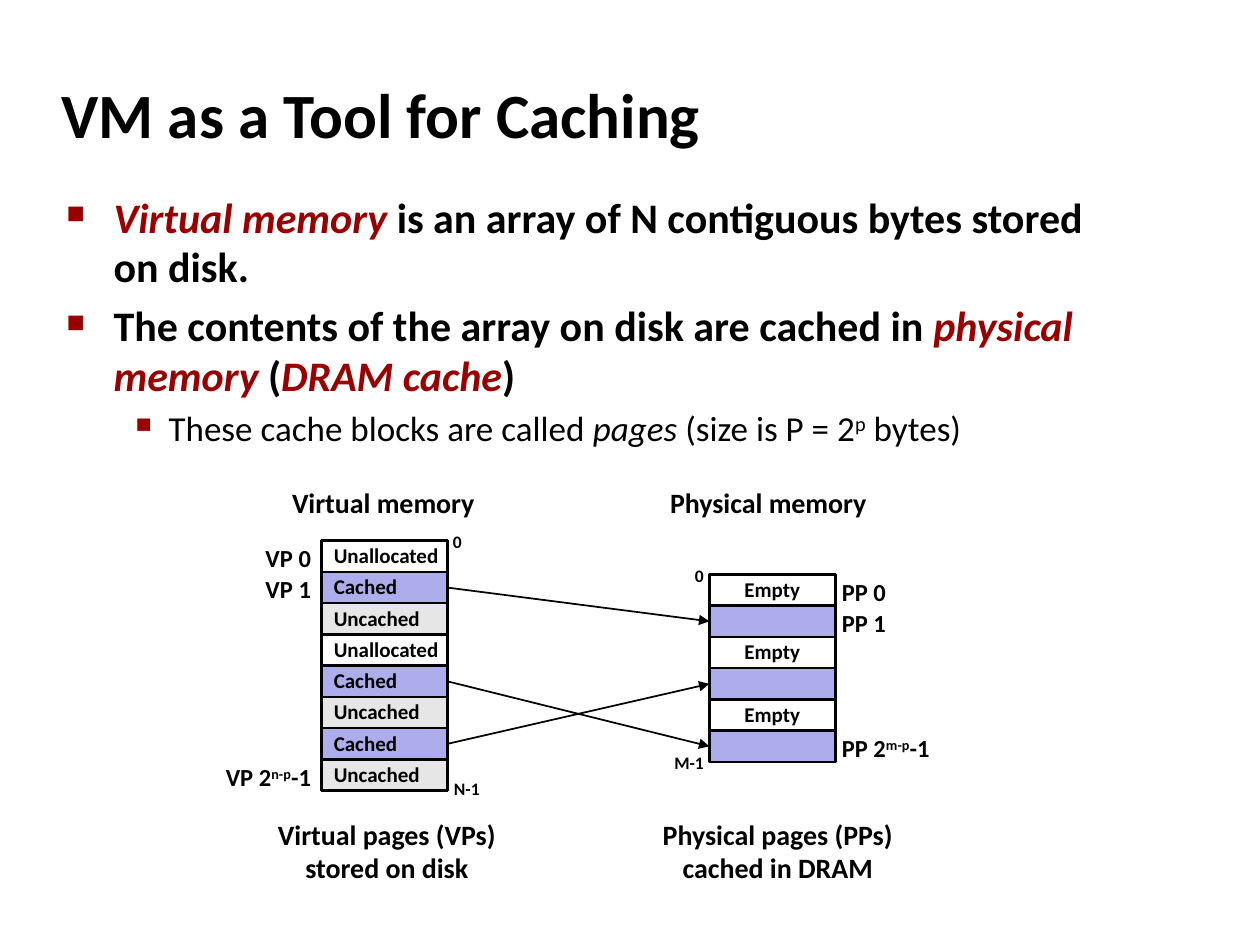
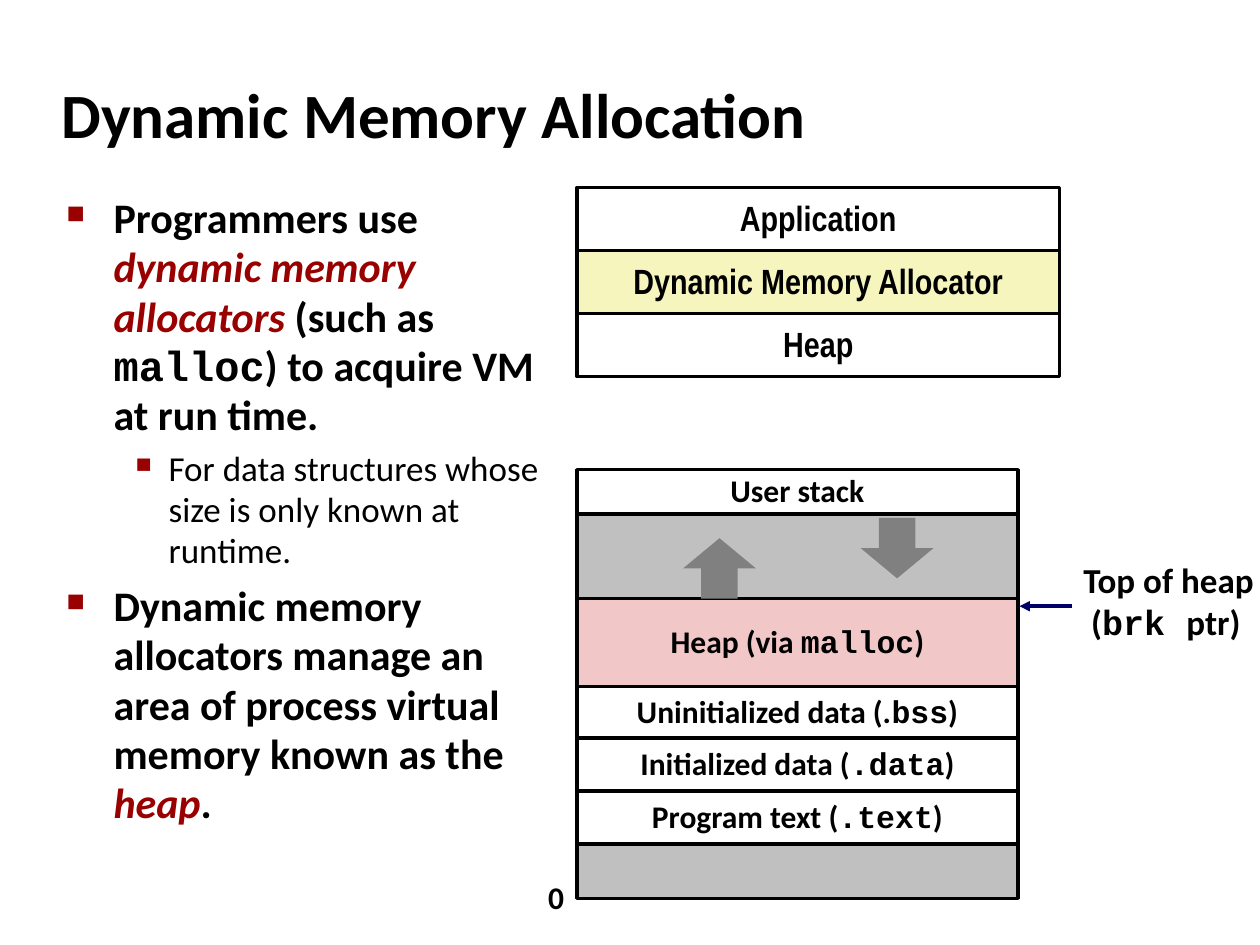
from dataclasses import dataclass
from itertools import accumulate

from lxml.etree import SubElement
from pptx import Presentation
from pptx.dml.color import RGBColor
from pptx.enum.shapes import MSO_CONNECTOR as Connector, MSO_SHAPE as Preset
from pptx.enum.text import MSO_ANCHOR as Anchor, PP_ALIGN as Align
from pptx.oxml.ns import qn
from pptx.util import Cm, Pt

BLACK = RGBColor(0x00, 0x00, 0x00)
WHITE = RGBColor(0xFF, 0xFF, 0xFF)
CRIMSON = RGBColor(0x99, 0x00, 0x00)
LAVENDER = RGBColor(0xAD, 0xAD, 0xEB)
PALE_GRAY = RGBColor(0xE6, 0xE6, 0xE6)
SILVER = RGBColor(0xC0, 0xC0, 0xC0)
MID_GRAY = RGBColor(0x80, 0x80, 0x80)
PINK = RGBColor(0xF1, 0xC7, 0xC7)
CREAM = RGBColor(0xF6, 0xF5, 0xBD)
NAVY = RGBColor(0x00, 0x00, 0x66)

SANS, NARROW, MONO = "Calibri", "Arial Narrow", "Courier New"
LINE_SPACING = 0.98


@dataclass(frozen=True)
class Run:
    text: str
    color: RGBColor = BLACK
    font: str = SANS
    italic: bool = False
    raised: bool = False


Line = tuple[Run, ...]


@dataclass(frozen=True)
class BulletLevel:
    char: str
    size: int
    bold: bool
    indent: float
    hang: float
    scale: int
    before: float


@dataclass(frozen=True)
class Label:
    """Text centred on a point, lengths in cm."""
    x: float
    y: float
    width: float
    lines: tuple[Line, ...]
    size: int
    align: Align = Align.CENTER


@dataclass(frozen=True)
class Block:
    """One filled row of a memory diagram."""
    fill: RGBColor
    text: Line = ()


@dataclass(frozen=True)
class Stack:
    """Rows drawn from the top down, lengths in cm."""
    left: float
    top: float
    width: float
    size: int
    border: float
    align: Align = Align.CENTER


LEVELS = (
    BulletLevel("■", 24, True, 0.95, 0.95, 60, 5.5),
    BulletLevel("▪", 20, False, 2.06, 0.79, 110, 4.5),
)


def plain(text: str) -> Line:
    return (Run(text),)


def term(text: str) -> Run:
    return Run(text, CRIMSON, italic=True)


def code(text: str) -> Run:
    return Run(text, font=MONO)


def add_runs(paragraph, line: Line, size: int, bold: bool = True) -> None:
    for part in line:
        run = paragraph.add_run()
        run.text = part.text
        font = run.font
        font.name, font.size, font.bold = part.font, Pt(size), bold
        font.italic = part.italic
        font.color.rgb = part.color
        if part.raised:
            run._r.get_or_add_rPr().set("baseline", "30000")


def add_frame(slide, left: float, top: float, width: float, height: float):
    frame = slide.shapes.add_textbox(Cm(left), Cm(top), Cm(width), Cm(height)).text_frame
    frame.word_wrap = True
    return frame


def add_title(slide, text: str) -> None:
    frame = add_frame(slide, 0.99, 1.22, 21.08, 2.11)
    frame.vertical_anchor = Anchor.MIDDLE
    add_runs(frame.paragraphs[0], plain(text), 36)


def add_bullets(slide, width: float, height: float, items: list[tuple[int, Line]]) -> None:
    frame = add_frame(slide, 1.09, 3.78, width, height)
    for index, (depth, line) in enumerate(items):
        level = LEVELS[depth]
        paragraph = frame.add_paragraph() if index else frame.paragraphs[0]
        props = paragraph._p.get_or_add_pPr()
        props.set("marL", str(Cm(level.indent)))
        props.set("indent", str(-Cm(level.hang)))
        color = SubElement(props, qn("a:buClr"))
        SubElement(color, qn("a:srgbClr"), val=str(CRIMSON))
        SubElement(props, qn("a:buSzPct"), val=str(level.scale * 1000))
        SubElement(props, qn("a:buChar"), char=level.char)
        paragraph.line_spacing = LINE_SPACING
        if index:
            paragraph.space_before = Pt(level.before)
        add_runs(paragraph, line, level.size, level.bold)


def add_label(slide, label: Label) -> None:
    height = 0.8 * len(label.lines)
    frame = add_frame(slide, label.x - label.width / 2, label.y - height / 2,
                      label.width, height)
    frame.margin_left = frame.margin_right = frame.margin_top = frame.margin_bottom = 0
    frame.vertical_anchor = Anchor.MIDDLE
    for index, line in enumerate(label.lines):
        paragraph = frame.add_paragraph() if index else frame.paragraphs[0]
        paragraph.alignment = label.align
        paragraph.line_spacing = LINE_SPACING
        add_runs(paragraph, line, label.size)


def add_preset(slide, preset: Preset, left: float, top: float, width: float,
               height: float, fill: RGBColor):
    shape = slide.shapes.add_shape(preset, Cm(left), Cm(top), Cm(width), Cm(height))
    shape.shadow.inherit = False
    shape.fill.solid()
    shape.fill.fore_color.rgb = fill
    shape.line.fill.background()
    return shape


def add_stack(slide, stack: Stack, blocks: list[Block], heights: list[float]) -> list:
    tops = accumulate(heights, initial=stack.top)
    rows = []
    for block, top, height in zip(blocks, tops, heights):
        row = add_preset(slide, Preset.RECTANGLE, stack.left, top, stack.width, height,
                         block.fill)
        row.line.color.rgb = BLACK
        row.line.width = Pt(stack.border)
        frame = row.text_frame
        frame.word_wrap = False
        frame.vertical_anchor = Anchor.MIDDLE
        paragraph = frame.paragraphs[0]
        paragraph.alignment = stack.align
        paragraph.line_spacing = LINE_SPACING
        add_runs(paragraph, block.text, stack.size)
        rows.append(row)
    return rows


def add_arrow(slide, color: RGBColor, width: float, start: tuple[float, float] = (0, 0),
              end: tuple[float, float] = (0, 0)):
    arrow = slide.shapes.add_connector(
        Connector.STRAIGHT, *(Cm(value) for value in (*start, *end)))
    arrow.line.color.rgb = color
    arrow.line.width = Pt(width)
    SubElement(arrow.line._get_or_add_ln(), qn("a:tailEnd"), type="triangle")
    SubElement(arrow._element.spPr, qn("a:effectLst"))
    return arrow


def build_caching(slide) -> None:
    add_title(slide, "VM as a Tool for Caching")
    add_bullets(slide, 21.95, 5.74, [
        (0, (term("Virtual memory "),
             Run("is an array of N contiguous bytes stored on disk."))),
        (0, (Run("The contents of the array on disk are cached in "),
             term("physical memory"), Run(" ("), term("DRAM cache"), Run(")"))),
        (1, (Run("These cache blocks are called "), Run("pages ", italic=True),
             Run("(size is P = 2"), Run("p", raised=True), Run(" bytes)"))),
    ])

    # Page tables of both memories
    pitch = 0.63
    unallocated = Block(WHITE, plain("Unallocated"))
    cached = Block(LAVENDER, plain("Cached"))
    uncached = Block(PALE_GRAY, plain("Uncached"))
    virtual_blocks = [unallocated, cached, uncached, unallocated,
                      cached, uncached, cached, uncached]
    physical_blocks = [Block(WHITE, plain("Empty")), Block(LAVENDER)] * 3
    virtual = Stack(6.48, 10.9, 2.54, 12, 1.5, Align.LEFT)
    physical = Stack(14.3, 11.58, 2.54, 12, 1.5)
    virtual_pages = add_stack(slide, virtual, virtual_blocks, [pitch] * 8)
    physical_pages = add_stack(slide, physical, physical_blocks, [pitch] * 6)

    # Cached virtual pages point to their physical pages
    for source, target in ((1, 1), (4, 5), (6, 3)):
        arrow = add_arrow(slide, BLACK, 1)
        arrow.begin_connect(virtual_pages[source], 3)
        arrow.end_connect(physical_pages[target], 1)

    # Page numbers beside the rows
    def last_page(prefix: str, exponent: str) -> Line:
        return Run(f"{prefix} 2"), Run(exponent, raised=True), Run("-1")

    for stack, x, align, names in (
        (virtual, 5.27, Align.RIGHT,
         {0: plain("VP 0"), 1: plain("VP 1"), 7: last_page("VP", "n-p")}),
        (physical, 17.97, Align.LEFT,
         {0: plain("PP 0"), 1: plain("PP 1"), 5: last_page("PP", "m-p")}),
    ):
        for row, name in names.items():
            y = stack.top + row * pitch + 0.37
            add_label(slide, Label(x, y, 2, (name,), 14, align))

    # Headings, captions and address bounds
    for label in (
        Label(7.73, 10.15, 5, (plain("Virtual memory"),), 16),
        Label(15.49, 10.15, 5, (plain("Physical memory"),), 16),
        Label(7.8, 17.18, 6, (plain("Virtual pages (VPs)"), plain("stored on disk")), 16),
        Label(15.68, 17.18, 6, (plain("Physical pages (PPs)"), plain("cached in DRAM")), 16),
        Label(9.22, 10.93, 1, (plain("0"),), 10),
        Label(9.41, 15.91, 1, (plain("N-1"),), 10),
        Label(14.1, 11.62, 1, (plain("0"),), 10),
        Label(13.89, 15.38, 1, (plain("M-1"),), 10),
    ):
        add_label(slide, label)


def build_allocation(slide) -> None:
    add_title(slide, "Dynamic Memory Allocation")
    add_bullets(slide, 10.52, 13.82, [
        (0, (Run("Programmers use "), term("dynamic memory allocators "),
             Run("(such as "), code("malloc"), Run(") to acquire VM at run time."))),
        (1, plain("For data structures whose size is only known at runtime.")),
        (0, (Run("Dynamic memory allocators manage an area of process virtual "
                 "memory known as the "), term("heap"), Run("."))),
    ])

    # Software layers
    layers = [Block(fill, (Run(name, font=NARROW),)) for fill, name in (
        (WHITE, "Application"), (CREAM, "Dynamic Memory Allocator"), (WHITE, "Heap"))]
    add_stack(slide, Stack(11.63, 3.78, 9.73, 20, 2), layers, [1.27] * 3)

    # Process address space
    regions = [
        Block(WHITE, plain("User stack")),
        Block(SILVER),
        Block(PINK, (Run("Heap (via "), code("malloc"), Run(")"))),
        Block(WHITE, (Run("Uninitialized data (."), code("bss"), Run(")"))),
        Block(WHITE, (Run("Initialized data ("), code(".data"), Run(")"))),
        Block(WHITE, (Run("Program text ("), code(".text"), Run(")"))),
        Block(SILVER),
    ]
    add_stack(slide, Stack(11.63, 9.47, 8.89, 18, 2), regions,
              [0.89, 1.71, 1.77, 1.04, 1.07, 1.07, 1.09])

    # Growth directions of stack and heap
    for preset, left, top in ((Preset.DOWN_ARROW, 17.35, 10.44),
                              (Preset.UP_ARROW, 13.77, 10.85)):
        add_preset(slide, preset, left, top, 1.47, 1.22, MID_GRAY)

    # Address marks
    add_arrow(slide, NAVY, 2, (21.62, 12.22), (20.55, 12.22))
    brk_pointer = (Run(" ("), code("brk "), Run("ptr)"))
    add_label(slide, Label(23.62, 12.14, 3.56, (plain("Top of heap"), brk_pointer), 20,
                           Align.LEFT))
    add_label(slide, Label(11.21, 18.11, 0.8, (plain("0"),), 18))


def main() -> None:
    deck = Presentation()
    deck.slide_width, deck.slide_height = Cm(25.4), Cm(19.05)
    blank = deck.slide_layouts[6]
    for build in (build_caching, build_allocation):
        build(deck.slides.add_slide(blank))
    deck.save("out.pptx")


if __name__ == "__main__":
    main()
